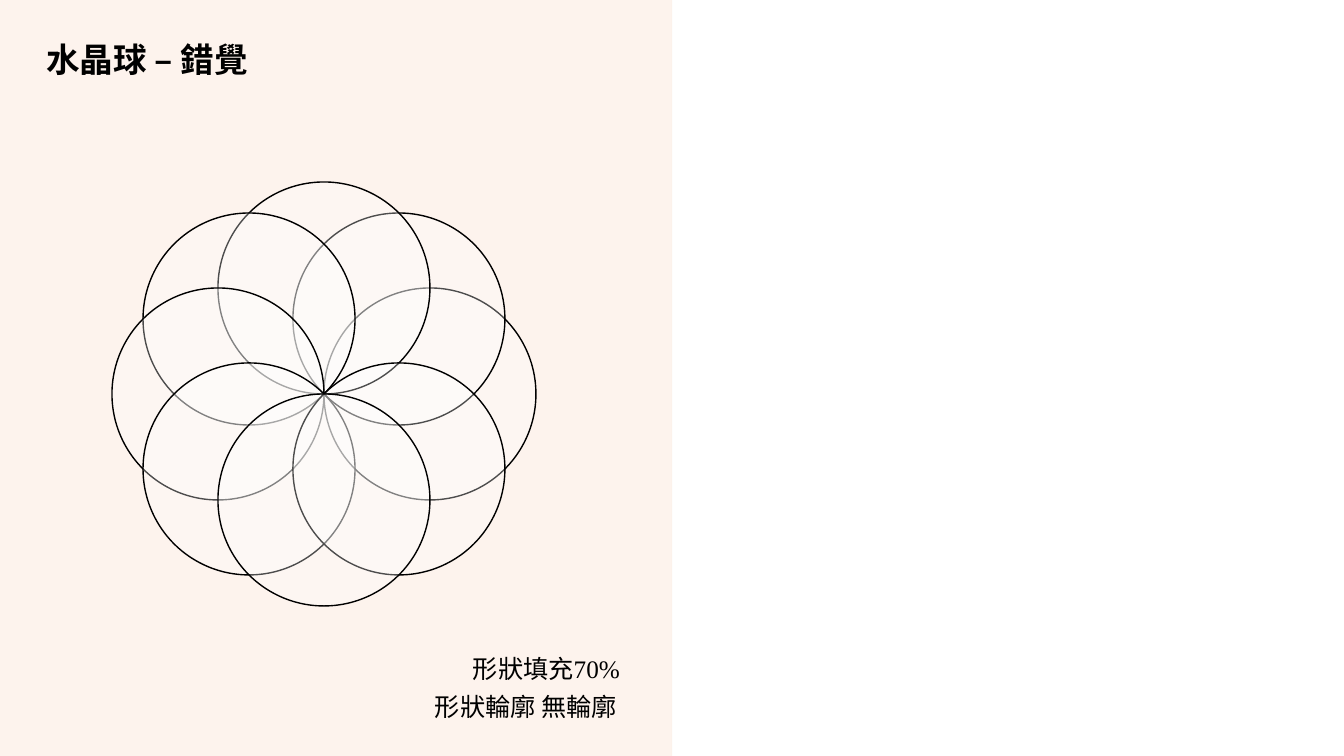
import math

from lxml import etree
from pptx import Presentation
from pptx import util as u
from pptx.dml import color
from pptx.enum import shapes, text
from pptx.oxml import ns

PX = 914400 / 100.8
CJK = "Noto Sans CJK SC"


def px(n):
    return u.Emu(round(n * PX))


def rgb(value):
    return color.RGBColor.from_string(value)


def paint(fill, value, alpha):
    fill.solid()
    fill.fore_color.rgb = rgb(value)
    for srgb in fill._xPr.iter(ns.qn("a:srgbClr")):
        etree.SubElement(srgb, ns.qn("a:alpha"), val=str(alpha * 1000))


def write(sp, words, size, latin, bold=False, spacing=None):
    tf = sp.text_frame
    tf.word_wrap = True
    p = tf.paragraphs[0]
    p.alignment = text.PP_ALIGN.LEFT
    if spacing:
        p.line_spacing = spacing
    r = p.add_run()
    r.text = words
    r.font.size = u.Pt(size)
    r.font.bold = bold
    r.font.color.rgb = rgb("000000")
    r.font.name = latin
    etree.SubElement(r.font._element, ns.qn("a:ea"), typeface=CJK)
    return tf


def add_title(s, words, x, y, w, h):
    sp = s.shapes.title
    sp.left, sp.top, sp.width, sp.height = px(x), px(y), px(w), px(h)
    tf = write(sp, words, 24, CJK, bold=True, spacing=0.9)
    tf.auto_size = text.MSO_AUTO_SIZE.NONE
    tf.vertical_anchor = text.MSO_ANCHOR.MIDDLE


def add_label(s, words, x, y, w, h):
    sp = s.shapes.add_textbox(px(x), px(y), px(w), px(h))
    write(sp, words, 18, "Times New Roman")


def add_filled(s, kind, x, y, w, h, fill, alpha):
    sp = s.shapes.add_shape(kind, px(x), px(y), px(w), px(h))
    sp.shadow.inherit = False
    paint(sp.fill, fill, alpha)
    sp.line.fill.background()
    return sp


def add_panel(s, w, h):
    panel = add_filled(s, shapes.MSO_SHAPE.RECTANGLE, 0, 0, w, h, "F4B183", 14)
    edge = s.shapes.add_connector(shapes.MSO_CONNECTOR.STRAIGHT, px(w), px(h), px(w), 0)
    edge.line.width = u.Pt(0.25)
    paint(edge.line.fill, "FBE5D6", 50)
    etree.SubElement(edge._element.spPr, ns.qn("a:effectLst"))
    for sp in (panel, edge):
        s.shapes.title.element.addprevious(sp.element)


def add_petals(s, cx, cy, radius, angles):
    for angle in angles:
        x = cx + radius * math.cos(math.radians(angle)) - radius
        y = cy - radius * math.sin(math.radians(angle)) - radius
        sp = add_filled(s, shapes.MSO_SHAPE.OVAL, x, y, 2 * radius, 2 * radius, "FFFFFF", 30)
        sp.line.color.rgb = rgb("000000")
        sp.line.width = u.Pt(1)


def main():
    prs = Presentation()
    prs.slide_width, prs.slide_height = px(1344), px(756)
    s = prs.slides.add_slide(prs.slide_layouts.get_by_name("Title Only"))
    add_panel(s, 672, 756)
    add_title(s, "水晶球 – 錯覺", 36, 40, 600, 44)
    add_petals(s, 324, 394, 106, [0, 45, 90, 135, 180, 225, 315, 270])
    add_label(s, "形狀填充70%", 463, 648, 196, 40)
    add_label(s, "形狀輪廓 無輪廓", 425, 686, 234, 40)
    prs.save("out.pptx")


if __name__ == "__main__":
    main()
